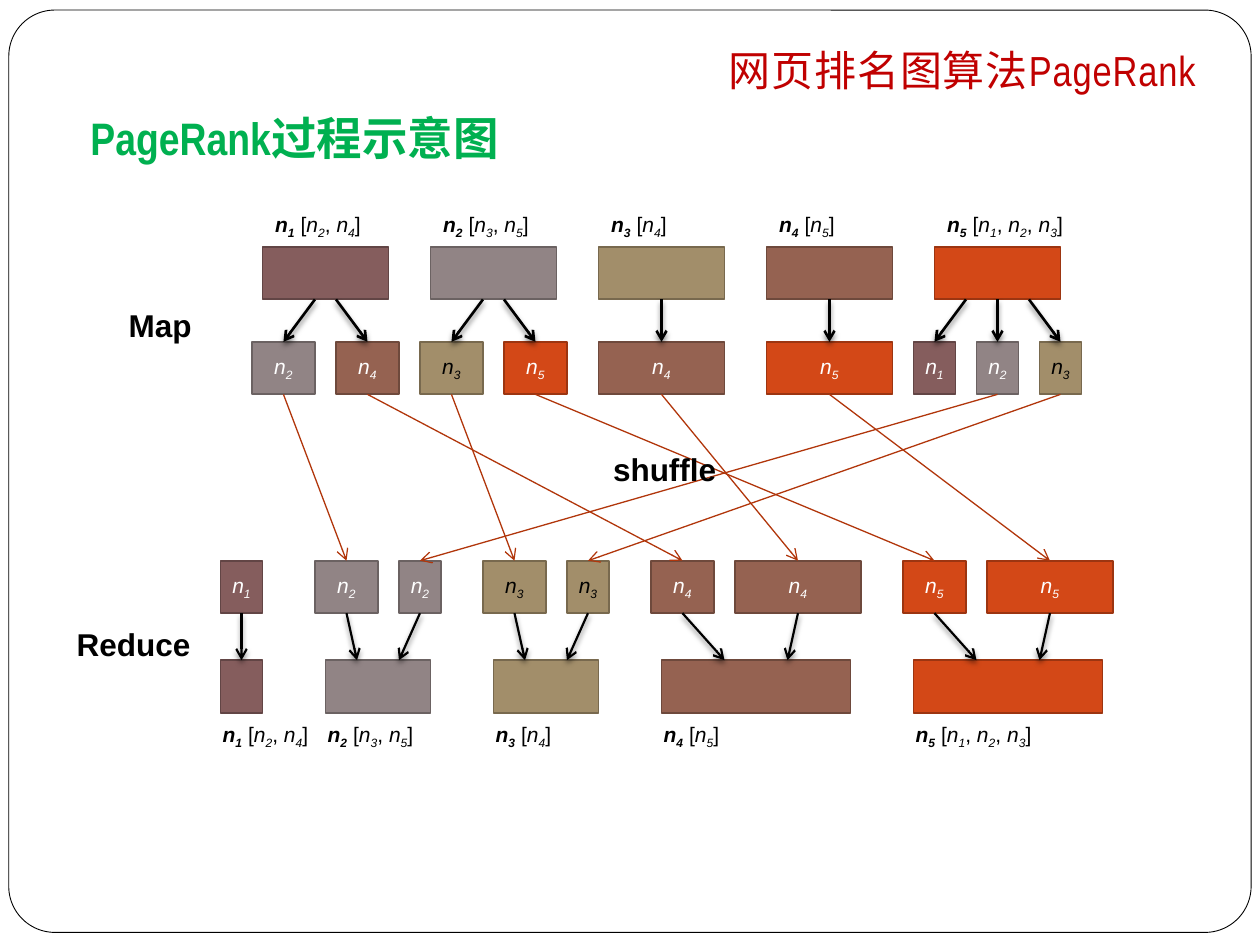
from collections import namedtuple
from lxml import etree
from pptx import Presentation
from pptx.dml.color import RGBColor
from pptx.enum.shapes import MSO_CONNECTOR as Connector, MSO_SHAPE as Shape
from pptx.enum.text import MSO_ANCHOR as Anchor, PP_ALIGN as Align
from pptx.oxml import parse_xml
from pptx.oxml.ns import nsdecls, qn
from pptx.util import Inches, Pt

BLACK = RGBColor(0x00, 0x00, 0x00)
WHITE = RGBColor(0xFF, 0xFF, 0xFF)
GREEN = RGBColor(0x00, 0xB0, 0x50)
RED = RGBColor(0xC0, 0x00, 0x00)
RUST = RGBColor(0xB1, 0x36, 0x0B)

Node = namedtuple("Node", "fill edge text label")
NODES = {
    1: Node(RGBColor(0x85, 0x5D, 0x5D), RGBColor(0x62, 0x45, 0x45), WHITE, "n1 [n2, n4]"),
    2: Node(RGBColor(0x91, 0x84, 0x85), RGBColor(0x6B, 0x62, 0x62), WHITE, "n2 [n3, n5]"),
    3: Node(RGBColor(0xA2, 0x8E, 0x6A), RGBColor(0x78, 0x69, 0x4E), BLACK, "n3 [n4]"),
    4: Node(RGBColor(0x95, 0x62, 0x51), RGBColor(0x6E, 0x49, 0x3C), WHITE, "n4 [n5]"),
    5: Node(RGBColor(0xD3, 0x48, 0x17), RGBColor(0x9C, 0x35, 0x11), WHITE, "n5 [n1, n2, n3]"),
}
Box = namedtuple("Box", "left top width height")  # inches

UNIT = 1 / 12           # width of one grid column in inches
BOX_ROWS = 5            # height of a node box in grid units
LABEL_SIZE = (1.58, 0.31)
NO_STYLE = "{2D5ABB26-0587-4C30-8999-92F81FD0307C}"
TOP, BOTTOM = 0, 2      # connection sites of a rectangle

# Map outputs per node: (node, column, columns wide), columns from the first node box
MAP_PITCH, MAP_WIDTH = 16, 12
MAP_OUTPUTS = {
    1: [(2, -1, 6), (4, 7, 6)],
    2: [(3, 15, 6), (5, 23, 6)],
    3: [(4, 32, 12)],
    4: [(5, 48, 12)],
    5: [(1, 62, 4), (2, 68, 4), (3, 74, 4)],
}
# Reduce per node: column, columns wide, arrow spread, inputs (column, columns wide)
REDUCE_GROUPS = {
    1: (0, 4, 0, [(0, 4)]),
    2: (10, 10, 4, [(9, 6), (17, 4)]),
    3: (26, 10, 4, [(25, 6), (33, 4)]),
    4: (42, 18, 6, [(41, 6), (49, 12)]),
    5: (66, 18, 6, [(65, 6), (73, 12)]),
}
# Map output index -> reduce input index
SHUFFLE = {0: 1, 7: 2, 1: 5, 4: 6, 2: 3, 8: 4, 3: 7, 5: 8}


def add_run(paragraph, text, size, color, font="Arial", **formats):
    run = paragraph.add_run()
    run.text = text
    run.font.color.rgb = color
    for name, value in dict(formats, size=Pt(size), name=font).items():
        setattr(run.font, name, value)
    return run


def add_node_text(paragraph, text, color, bold_count=0):
    """Write n italic, its index as a subscript, and the rest upright."""
    for index, mark in enumerate(text):
        run = add_run(paragraph, mark, 12, color, bold=index < bold_count,
                      italic=mark == "n" or mark.isdigit())
        if mark.isdigit():
            run.font._element.set("baseline", "-25000")


def add_text(shapes, box, align, wrap=True, anchor=Anchor.TOP):
    frame = shapes.add_textbox(*map(Inches, box)).text_frame
    frame.word_wrap, frame.vertical_anchor = wrap, anchor
    frame.paragraphs[0].alignment = align
    return frame.paragraphs[0]


def add_heading(shapes, box, parts, align, size, color, bold=False, spacing=0):
    paragraph = add_text(shapes, box, align, anchor=Anchor.BOTTOM)
    paragraph._p.getparent().find(qn("a:bodyPr")).set("bIns", str(Inches(0.1)))
    for text, font in parts:
        properties = add_run(paragraph, text, size, color, font, bold=bold).font._element
        properties.set("spc", str(spacing))
        etree.SubElement(properties, qn("a:ea")).set("typeface", "Noto Sans CJK SC")


def add_label(shapes, left, top, node):
    graphic = shapes.add_table(1, 1, *map(Inches, (left, top, *LABEL_SIZE)))
    table = graphic.table
    table.first_row = table.horz_banding = False
    table._tbl.tblPr.find(qn("a:tableStyleId")).text = NO_STYLE
    cell = table.cell(0, 0)
    cell.fill.background()
    add_node_text(cell.text_frame.paragraphs[0], NODES[node].label, BLACK, bold_count=2)


def add_node_box(shapes, left, top, columns, node, named=False):
    style = NODES[node]
    shape = shapes.add_shape(Shape.RECTANGLE, Inches(left), Inches(top),
                             Inches(columns * UNIT), Inches(BOX_ROWS * UNIT))
    shape.shadow.inherit = False
    shape.fill.solid()
    shape.fill.fore_color.rgb = style.fill
    shape.line.color.rgb, shape.line.width = style.edge, Pt(1)
    if named:
        frame = shape.text_frame
        for side in ("left", "top", "right", "bottom"):
            setattr(frame, f"margin_{side}", 0)
        frame.word_wrap, frame.vertical_anchor = False, Anchor.MIDDLE
        frame.paragraphs[0].alignment = Align.CENTER
        add_node_text(frame.paragraphs[0], f"n{node}", style.text)
    return shape


def add_arrow(shapes, source, target, width, color=BLACK, leave=0, arrive=0, shadow=True):
    """Join source's bottom to target's top; leave and arrive are shifts in columns."""
    arrow = shapes.add_connector(
        Connector.STRAIGHT,
        source.left + source.width // 2 + Inches(leave * UNIT), source.top + source.height,
        target.left + target.width // 2 + Inches(arrive * UNIT), target.top)
    if not leave:
        arrow.begin_connect(source, BOTTOM)
    if not arrive:
        arrow.end_connect(target, TOP)
    arrow.line.color.rgb, arrow.line.width = color, Pt(width)
    etree.SubElement(arrow.line._get_or_add_ln(), qn("a:tailEnd")).set("type", "arrow")
    effect = (f'<a:outerShdw blurRad="{Pt(3)}" dist="{Pt(2)}" dir="5400000" rotWithShape="0">'
              '<a:srgbClr val="000000"><a:alpha val="50000"/></a:srgbClr></a:outerShdw>')
    arrow._element.spPr.append(parse_xml(
        f'<a:effectLst {nsdecls("a")}>{effect if shadow else ""}</a:effectLst>'))


def spread_shift(index, count, spread):
    return (index / (count - 1) - 0.5) * spread if count > 1 else 0


def draw_frame(shapes, box):
    frame = shapes.add_shape(Shape.ROUNDED_RECTANGLE, *map(Inches, box))
    frame.shadow.inherit = False
    frame.adjustments[0] = 0.05
    frame.fill.solid()
    frame.fill.fore_color.rgb = WHITE
    frame.line.color.rgb, frame.line.width = BLACK, Pt(0.5)


def draw_map(shapes, box):
    """Labels, node boxes and outputs; returns the output boxes."""
    outputs = []
    box_top = box.top + 0.32
    output_top = box.top + box.height - BOX_ROWS * UNIT
    for index, (node, targets) in enumerate(MAP_OUTPUTS.items()):
        left = box.left + index * MAP_PITCH * UNIT
        add_label(shapes, left, box.top, node)
        source = add_node_box(shapes, left, box_top, MAP_WIDTH, node)
        count = len(targets)
        for place, (target, column, columns) in enumerate(targets):
            output = add_node_box(shapes, box.left + column * UNIT, output_top,
                                  columns, target, named=True)
            add_arrow(shapes, source, output, 1.5,
                      leave=spread_shift(place, count, count * (count - 1)))
            outputs.append(output)
    return outputs


def draw_reduce(shapes, box):
    """Inputs, merged boxes and labels; returns the input boxes."""
    inputs = []
    label_top = box.top + box.height - LABEL_SIZE[1]
    for node, (column, columns, spread, parts) in REDUCE_GROUPS.items():
        left = box.left + column * UNIT
        merged = add_node_box(shapes, left, box.top + 0.79, columns, node)
        for place, (part_column, part_columns) in enumerate(parts):
            part = add_node_box(shapes, box.left + part_column * UNIT, box.top,
                                part_columns, node, named=True)
            add_arrow(shapes, part, merged, 1.25,
                      arrive=spread_shift(place, len(parts), spread))
            inputs.append(part)
        add_label(shapes, left - UNIT, label_top, node)
    return inputs


def draw_shuffle(shapes, box, outputs, inputs):
    for source, target in SHUFFLE.items():
        add_arrow(shapes, outputs[source], inputs[target], 0.75, RUST, shadow=False)
    add_run(add_text(shapes, box, Align.CENTER), "shuffle", 18, BLACK, bold=True)


def main():
    presentation = Presentation()
    presentation.slide_width, presentation.slide_height = Inches(10), Inches(7.5)
    shapes = presentation.slides.add_slide(presentation.slide_layouts[6]).shapes

    draw_frame(shapes, Box(0.07, 0.08, 9.86, 7.32))
    add_heading(shapes, Box(0.62, 0.47, 8.5, 0.94),
                [("PageRank", "Arial Narrow"), ("过程示意图", "Noto Sans CJK SC")],
                Align.LEFT, 26, GREEN, bold=True)
    add_heading(shapes, Box(1.09, 0.23, 8.5, 0.62), [("网页排名图算法PageRank", "Arial Narrow")],
                Align.RIGHT, 24, RED, spacing=50)

    outputs = draw_map(shapes, Box(25 * UNIT, 1.64, 77 * UNIT, 1.49))
    inputs = draw_reduce(shapes, Box(21 * UNIT, 4.45, 85 * UNIT, 1.55))
    for name, box in {"Map": Box(0.91, 2.38, 0.71, 0.4),
                      "Reduce": Box(0.5, 4.91, 1.11, 0.4)}.items():
        add_run(add_text(shapes, box, Align.RIGHT, wrap=False), name, 18, BLACK, bold=True)
    draw_shuffle(shapes, Box(2.58, 3.52, 5.39, 0.4), outputs, inputs)
    presentation.save("out.pptx")


if __name__ == "__main__":
    main()
